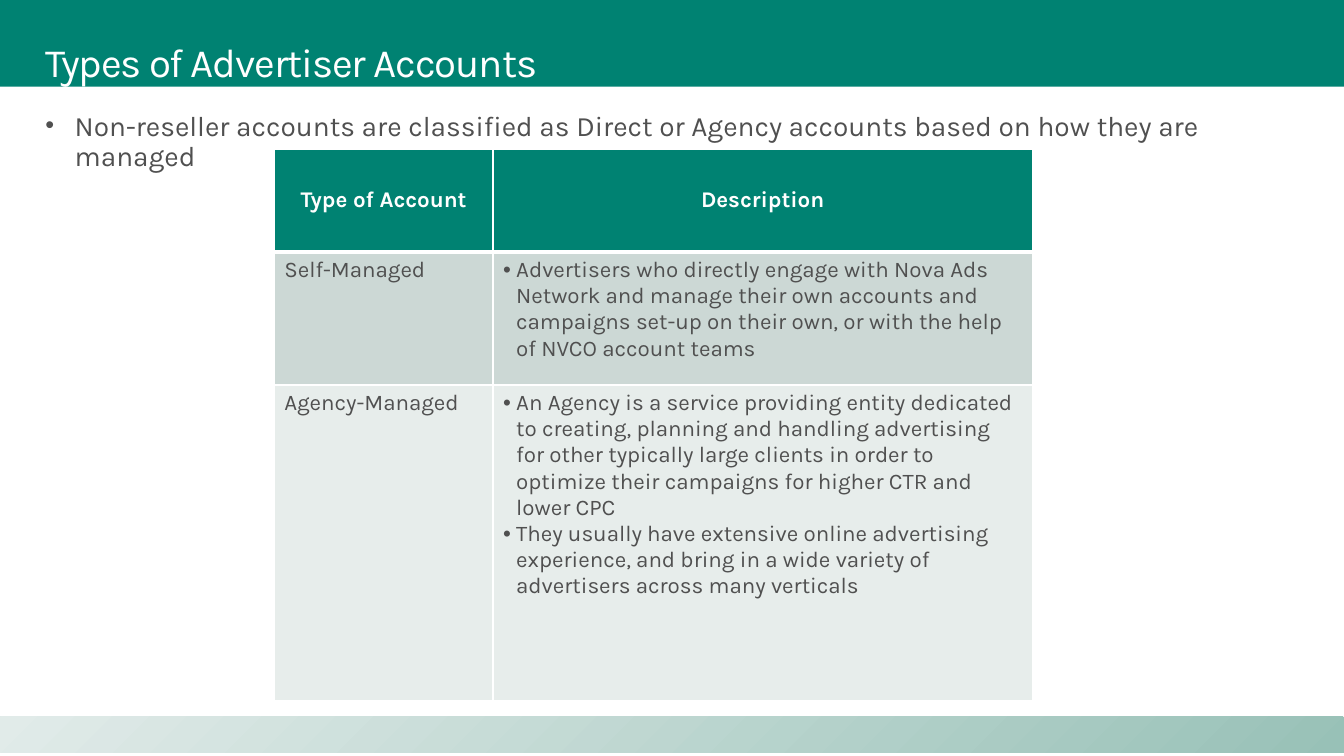
"""Build the slide on types of advertiser accounts."""
from pptx import Presentation
from pptx.dml.color import RGBColor
from pptx.enum.shapes import MSO_SHAPE
from pptx.enum.text import MSO_ANCHOR, MSO_AUTO_SIZE, PP_ALIGN
from pptx.oxml.ns import qn
from pptx.util import Inches, Pt
from lxml.etree import SubElement

FONT = "Karla"
GREEN = RGBColor(0x00, 0x82, 0x72)
WHITE = RGBColor(0xFF, 0xFF, 0xFF)
GREY = RGBColor(0x50, 0x50, 0x50)
BAND_DARK = RGBColor(0x98, 0xC1, 0xB7)
BAND_LIGHT = RGBColor(0xE1, 0xEB, 0xE9)
ROW_FILLS = [GREEN, RGBColor(0xCC, 0xD8, 0xD5), RGBColor(0xE7, 0xED, 0xEB)]
COLUMN_WIDTHS = [2.17, 5.35]
ROW_HEIGHTS = [1.02, 1.32, 3.13]

HEADINGS = ["Type of Account", "Description"]
ACCOUNTS = [
    ("Self-Managed", [
        "Advertisers who directly engage with Nova Ads Network and manage their own "
        "accounts and campaigns set-up on their own, or with the help of NVCO account teams",
    ]),
    ("Agency-Managed", [
        "An Agency is a service providing entity dedicated to creating, planning and "
        "handling advertising for other typically large clients in order to optimize "
        "their campaigns for higher CTR and lower CPC",
        "They usually have extensive online advertising experience, and bring in a wide "
        "variety of advertisers across many verticals",
    ]),
]


def add_band(page, top, height):
    band = page.shapes.add_shape(
        MSO_SHAPE.RECTANGLE, 0, Inches(top), Inches(13.33), Inches(height))
    band.shadow.inherit = False
    band.line.fill.background()
    return band


def add_span(paragraph, text, size, color, bold=False):
    span = paragraph.add_run()
    span.text = text
    span.font.name = FONT
    span.font.size = Pt(size)
    span.font.bold = bold
    span.font.color.rgb = color
    return span


def set_bullet(paragraph, indent, percent=100):
    properties = paragraph._p.get_or_add_pPr()
    properties.set("marL", str(Inches(indent)))
    properties.set("indent", str(-Inches(indent)))
    SubElement(properties, qn("a:buSzPct"), val=str(percent * 1000))
    SubElement(properties, qn("a:buFont"), typeface="Arial")
    SubElement(properties, qn("a:buChar"), char="•")


def set_frame(box, left, top, width, height):
    box.left, box.top = Inches(left), Inches(top)
    box.width, box.height = Inches(width), Inches(height)
    frame = box.text_frame
    frame.word_wrap = True
    frame.auto_size = MSO_AUTO_SIZE.NONE
    frame.vertical_anchor = MSO_ANCHOR.TOP
    frame.margin_left = frame.margin_right = Inches(0.16)
    frame.margin_top = frame.margin_bottom = Inches(0.1)
    paragraph = frame.paragraphs[0]
    paragraph.alignment = PP_ALIGN.LEFT
    paragraph.line_spacing = 0.9
    return paragraph


def set_borders(cell, bottom=1):
    properties = cell._tc.get_or_add_tcPr()
    for side, width in (("L", 1), ("R", 1), ("T", 1), ("B", bottom)):
        line = SubElement(properties, qn(f"a:ln{side}"), w=str(Pt(width)))
        fill = SubElement(line, qn("a:solidFill"))
        SubElement(fill, qn("a:srgbClr"), val=str(WHITE))


def fill_cell(cell, texts, color, header=False, bulleted=False):
    set_borders(cell, 3 if header else 1)
    cell.fill.solid()
    cell.fill.fore_color.rgb = color
    cell.vertical_anchor = MSO_ANCHOR.MIDDLE if header else MSO_ANCHOR.TOP
    frame = cell.text_frame
    for index, text in enumerate(texts):
        paragraph = frame.add_paragraph() if index else frame.paragraphs[0]
        paragraph.alignment = PP_ALIGN.CENTER if header else PP_ALIGN.LEFT
        if bulleted:
            set_bullet(paragraph, 0.13)
        add_span(paragraph, text, 16, WHITE if header else GREY, header)


def add_account_table(page):
    table = page.shapes.add_table(
        len(ROW_HEIGHTS), len(COLUMN_WIDTHS), Inches(2.72), Inches(1.48),
        Inches(sum(COLUMN_WIDTHS)), Inches(sum(ROW_HEIGHTS))).table
    for column, width in zip(table.columns, COLUMN_WIDTHS):
        column.width = Inches(width)
    for row, height in zip(table.rows, ROW_HEIGHTS):
        row.height = Inches(height)
    for column, heading in enumerate(HEADINGS):
        fill_cell(table.cell(0, column), [heading], ROW_FILLS[0], header=True)
    for row, (account, descriptions) in enumerate(ACCOUNTS, 1):
        fill_cell(table.cell(row, 0), [account], ROW_FILLS[row])
        fill_cell(table.cell(row, 1), descriptions, ROW_FILLS[row], bulleted=True)


def add_bands(page):
    footer = add_band(page, 7.11, 0.36)
    footer.fill.gradient()
    footer.fill.gradient_angle = 135
    for stop, color in zip(footer.fill.gradient_stops, (BAND_DARK, BAND_LIGHT)):
        stop.color.rgb = color
    header = add_band(page, 0, 0.86)
    header.fill.solid()
    header.fill.fore_color.rgb = GREEN
    for band in (header, footer):
        page.shapes._spTree.insert(2, band._element)


def main():
    deck = Presentation()
    deck.slide_width, deck.slide_height = Inches(13.33), Inches(7.5)
    page = deck.slides.add_slide(deck.slide_layouts[5])
    add_bands(page)
    title = set_frame(page.shapes.title, 0.29, 0.32, 11.87, 1.45)
    span = add_span(title, "Types of Advertiser Accounts", 28.7, WHITE)
    span.font._element.set("spc", "-80")
    box = page.shapes.add_textbox(0, 0, 0, 0)
    summary = set_frame(box, 0.29, 1.01, 12.85, 0.87)
    set_bullet(summary, 0.29, 90)
    add_span(summary, "Non-reseller accounts are classified as Direct or Agency "
             "accounts based on how they are managed", 20, GREY)
    add_account_table(page)
    deck.save("out.pptx")


if __name__ == "__main__":
    main()
